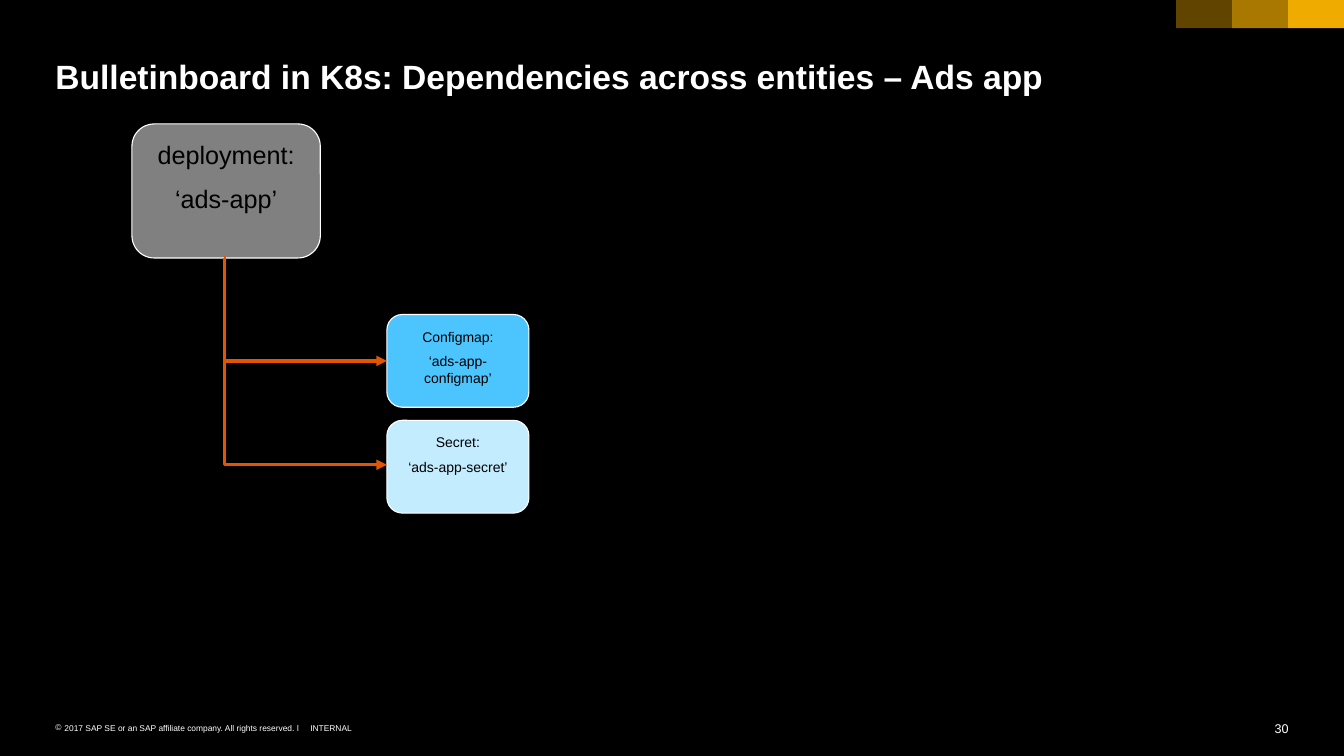
import pptx
import pptx.dml.color
import pptx.enum.shapes
import pptx.enum.text
import pptx.oxml
import pptx.oxml.ns
import pptx.util
from lxml import etree

Inches = pptx.util.Inches
Pt = pptx.util.Pt
qn = pptx.oxml.ns.qn
ALIGN = pptx.enum.text.PP_ALIGN
SHAPE = pptx.enum.shapes.MSO_SHAPE

WIDTH, HEIGHT = 13.34, 7.5
MARGIN = 0.55
WHITE, BLACK, GOLD, ORANGE = "FFFFFF", "000000", "F0AB00", "E35500"


def color(value):
    return pptx.dml.color.RGBColor.from_string(value)


def add_run(paragraph, text, size, text_color, bold=False):
    run = paragraph.add_run()
    run.text = text
    run.font.name = "Arial"
    run.font.size = Pt(size)
    run.font.bold = bold
    run.font.color.rgb = color(text_color)


def set_insets(frame, horizontal, vertical):
    frame.margin_left = frame.margin_right = Inches(horizontal)
    frame.margin_top = frame.margin_bottom = Inches(vertical)


def add_label(slide, box, text, size, align=ALIGN.LEFT, bold=False, wrap=True):
    """Add a white text box without insets and return its paragraph."""
    frame = slide.shapes.add_textbox(*map(Inches, box)).text_frame
    frame.word_wrap = wrap
    set_insets(frame, 0, 0)
    paragraph = frame.paragraphs[0]
    paragraph.alignment = align
    add_run(paragraph, text, size, WHITE, bold)
    return paragraph


def add_bullet(paragraph, character, indent):
    properties = paragraph._p.get_or_add_pPr()
    properties.set("marL", str(Inches(indent)))
    properties.set("indent", str(-Inches(indent)))
    bullet_color = etree.SubElement(properties, qn("a:buClr"))
    etree.SubElement(bullet_color, qn("a:srgbClr"), val=WHITE)
    etree.SubElement(properties, qn("a:buFont"), typeface="Arial")
    etree.SubElement(properties, qn("a:buChar"), char=character)


def add_corner_bars(slide, right, top):
    """Add three gold bars that fade out leftwards from the right edge."""
    width, height = 0.555, 0.28
    for index, opacity in enumerate((100, 70, 40)):
        left = right - (index + 1) * width
        bar = slide.shapes.add_shape(
            SHAPE.RECTANGLE, Inches(left), Inches(top), Inches(width), Inches(height))
        bar.shadow.inherit = False
        bar.line.fill.background()
        bar.fill.solid()
        bar.fill.fore_color.rgb = color(GOLD)
        if opacity < 100:
            fill_color = bar._element.spPr.find(qn("a:solidFill"))[0]
            etree.SubElement(fill_color, qn("a:alpha"), val=str(opacity * 1000))


def add_footer(slide, left, top, right):
    notice = add_label(
        slide, (left, top, 2.48, 0.1),
        "2017 SAP SE or an SAP affiliate company. All rights reserved. ǀ", 6)
    add_bullet(notice, "©", 0.09)
    add_label(slide, (left + 2.53, top, 0.42, 0.1), "INTERNAL", 6, wrap=False)
    add_label(slide, (right - 0.15, top - 0.02, 0.15, 0.15), "30", 9, ALIGN.RIGHT, wrap=False)


def add_entity(slide, box, fill, size, lines):
    entity = slide.shapes.add_shape(SHAPE.ROUNDED_RECTANGLE, *map(Inches, box))
    entity.shadow.inherit = False
    entity.fill.solid()
    entity.fill.fore_color.rgb = color(fill)
    entity.line.color.rgb = color(WHITE)
    entity.line.width = Pt(0.79)
    frame = entity.text_frame
    frame.word_wrap = True
    frame.vertical_anchor = pptx.enum.text.MSO_ANCHOR.TOP
    set_insets(frame, 0.12, 0.09)
    for index, text in enumerate(lines):
        paragraph = frame.add_paragraph() if index else frame.paragraphs[0]
        paragraph.alignment = ALIGN.CENTER
        if index:
            paragraph.space_before = Pt(0.55 * size)
        add_run(paragraph, text, size, BLACK)


def add_elbow_arrow(slide, left, top, right, bottom):
    """Add an arrow that drops at its left end, then runs right."""
    arrow = slide.shapes.add_connector(
        pptx.enum.shapes.MSO_CONNECTOR.ELBOW, *map(Inches, (left, top, right, bottom)))
    arrow.line.color.rgb = color(ORANGE)
    arrow.line.width = Pt(2.5)
    properties = arrow._element.spPr
    adjustments = properties.find(qn("a:prstGeom")).find(qn("a:avLst"))
    etree.SubElement(adjustments, qn("a:gd"), name="adj1", fmla="val 600")
    etree.SubElement(properties.find(qn("a:ln")), qn("a:tailEnd"), type="triangle")
    etree.SubElement(properties, qn("a:effectLst"))


def add_dependencies(slide, left, top):
    """Add the deployment and, below right of it, the entities it depends on."""
    height = 1.33
    add_entity(slide, (left, top, 1.87, height), "808080", 18, ("deployment:", "‘ads-app’"))
    targets = (
        ("4CC5FF", ("Configmap:", "‘ads-app-configmap’")),
        ("C3ECFF", ("Secret:", "‘ads-app-secret’")),
    )
    target_left, target_top = left + 2.53, top + 1.89
    trunk_left, trunk_top, drop = left + 0.91, top + height, 1.02
    for index, (fill, lines) in enumerate(targets):
        add_entity(slide, (target_left, target_top + index * 1.05, 1.41, 0.92), fill, 10, lines)
        start = trunk_top + index * (drop + 0.01)
        add_elbow_arrow(slide, trunk_left, start, target_left, start + drop)


def main():
    presentation = pptx.Presentation()
    presentation.slide_width = Inches(WIDTH)
    presentation.slide_height = Inches(HEIGHT)
    slide = presentation.slides.add_slide(presentation.slide_layouts[6])
    slide.background.fill.solid()
    slide.background.fill.fore_color.rgb = color(BLACK)
    add_footer(slide, MARGIN, 7.17, WIDTH - MARGIN)
    add_corner_bars(slide, WIDTH, 0)
    add_label(
        slide, (MARGIN, 0.55, WIDTH - 2 * MARGIN, 0.4),
        "Bulletinboard in K8s: Dependencies across entities – Ads app", 24, bold=True)
    add_dependencies(slide, 1.31, 1.23)
    presentation.save("out.pptx")


if __name__ == "__main__":
    main()
